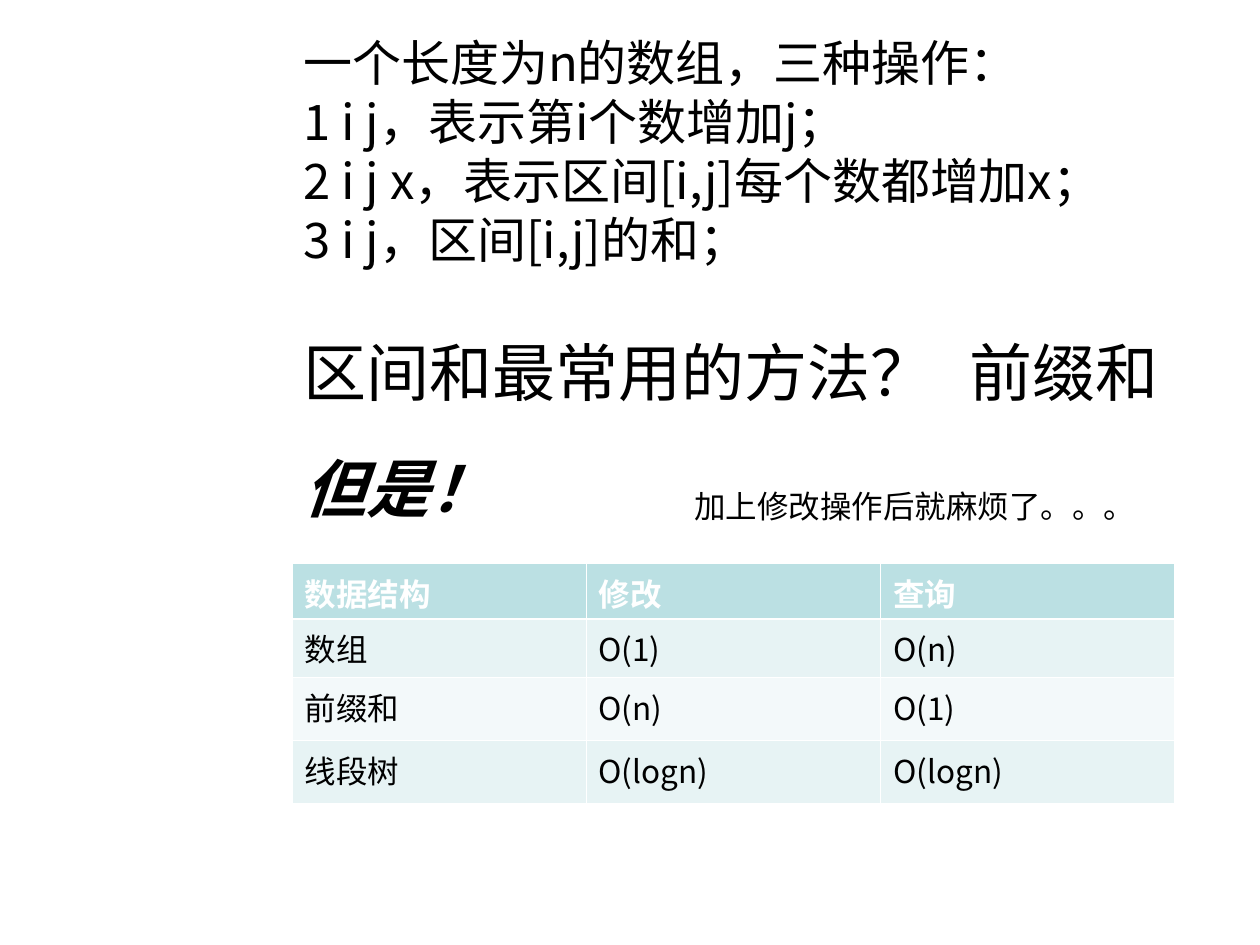
import pptx
import pptx.util
import pptx.dml.color
import pptx.enum.text
import lxml.etree

Inches = pptx.util.Inches
Pt = pptx.util.Pt
RGB = pptx.dml.color.RGBColor
BLACK = RGB(0x00, 0x00, 0x00)
WHITE = RGB(0xFF, 0xFF, 0xFF)
TEAL = RGB(0xBB, 0xE0, 0xE3)
PALE = RGB(0xE7, 0xF3, 0xF4)
LIGHT = RGB(0xF3, 0xF9, 0xFA)
FACE = "Noto Sans CJK SC"
NS = pptx.oxml.ns.qn


def write(frame, lines, size, color=BLACK, **style):
    for i, line in enumerate(lines):
        para = frame.paragraphs[0] if i == 0 else frame.add_paragraph()
        run = para.add_run()
        run.text = line
        form = {"size": Pt(size), "name": FACE, **style}
        for key, value in form.items():
            setattr(run.font, key, value)
        run.font.color.rgb = color
        east = lxml.etree.SubElement(run.font._element, NS("a:ea"))
        east.set("typeface", FACE)


def edge(cell, side, width):
    line = lxml.etree.SubElement(cell._tc.get_or_add_tcPr(), NS("a:ln" + side))
    line.set("w", str(Pt(width)))
    fill = lxml.etree.SubElement(line, NS("a:solidFill"))
    lxml.etree.SubElement(fill, NS("a:srgbClr")).set("val", str(WHITE))


deck = pptx.Presentation()
deck.slide_width = Inches(10)
deck.slide_height = Inches(7.5)
slide = deck.slides.add_slide(deck.slide_layouts[6])

tasks = [
    "一个长度为n的数组，三种操作：",
    "1 i j，表示第i个数增加j；",
    "2 i j x，表示区间[i,j]每个数都增加x；",
    "3 i j，区间[i,j]的和；",
]
notes = [
    (2.31, 0.21, 7.64, 2.44, tasks, 28, {}),
    (2.31, 2.6, 6.68, 0.7, ["区间和最常用的方法？"], 36, {}),
    (2.31, 3.52, 1.71, 0.7, ["但是！"], 36, {"bold": True, "italic": True}),
    (5.41, 3.82, 3.91, 0.4, ["加上修改操作后就麻烦了。。。"], 18, {}),
    (7.6, 2.6, 1.73, 0.7, ["前缀和"], 36, {}),
]
for left, top, width, height, lines, size, style in notes:
    box = slide.shapes.add_textbox(
        Inches(left), Inches(top), Inches(width), Inches(height)
    )
    box.text_frame.word_wrap = True
    write(box.text_frame, lines, size, **style)

rows = [
    ("数据结构", "修改", "查询"),
    ("数组", "O(1)", "O(n)"),
    ("前缀和", "O(n)", "O(1)"),
    ("线段树", "O(logn)", "O(logn)"),
]
fills = [TEAL, PALE, LIGHT, PALE]
table = slide.shapes.add_table(
    4, 3, Inches(2.32), Inches(4.47), Inches(7), Inches(1.91)
).table
for col, width in zip(table.columns, (2.33, 2.34, 2.33)):
    col.width = Inches(width)
for row, height in zip(table.rows, (0.44, 0.47, 0.5, 0.5)):
    row.height = Inches(height)
for r, row in enumerate(rows):
    for c, word in enumerate(row):
        cell = table.cell(r, c)
        thick = {"L": 0.45, "R": 0.45, "T": 0.45, "B": 0.45}
        if r < 2:
            thick["B" if r == 0 else "T"] = 1.47
        for side, width in thick.items():
            edge(cell, side, width)
        cell.fill.solid()
        cell.fill.fore_color.rgb = fills[r]
        color = WHITE if r == 0 else BLACK
        write(cell.text_frame, [word], 18, color, bold=r == 0)

deck.save("out.pptx")
